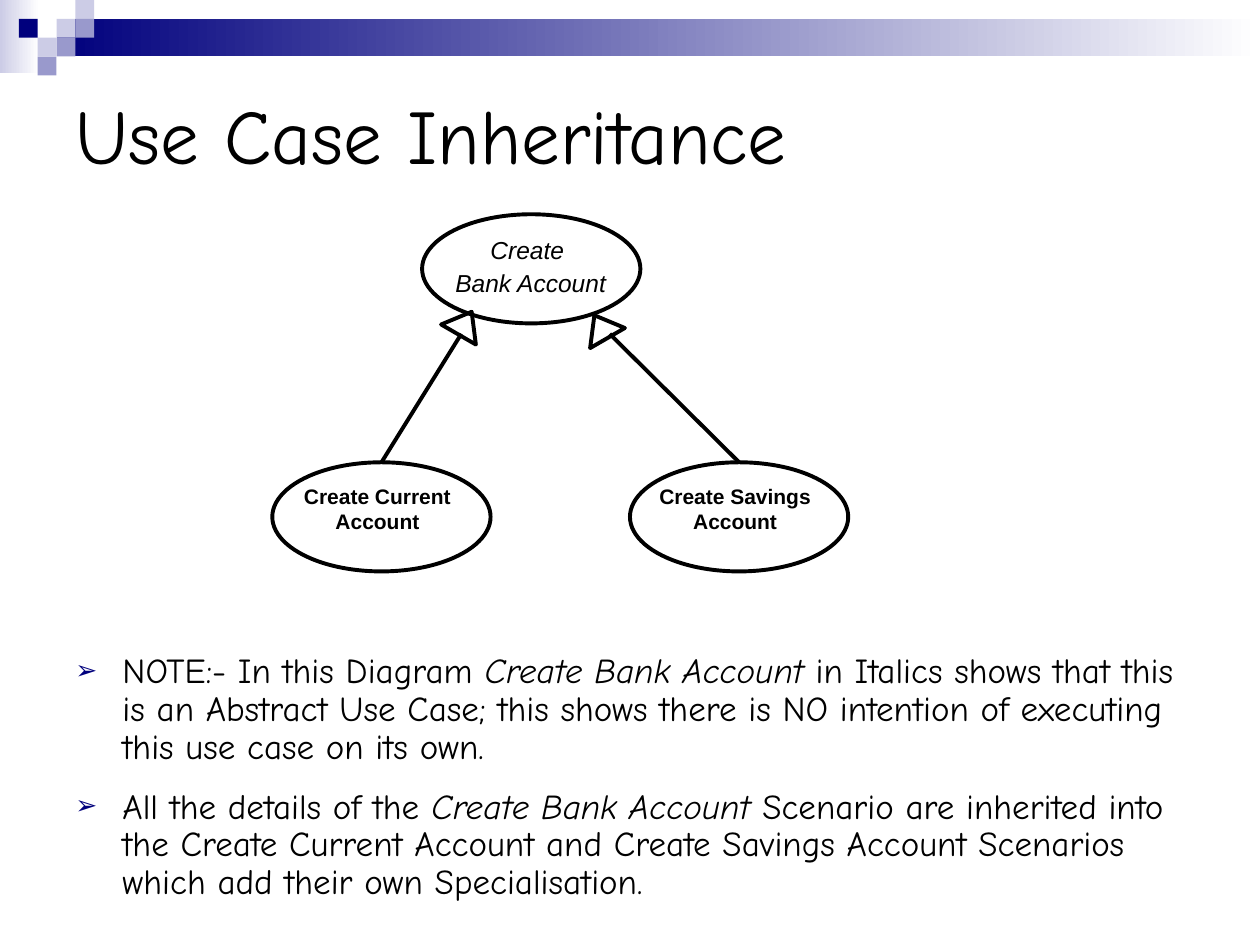
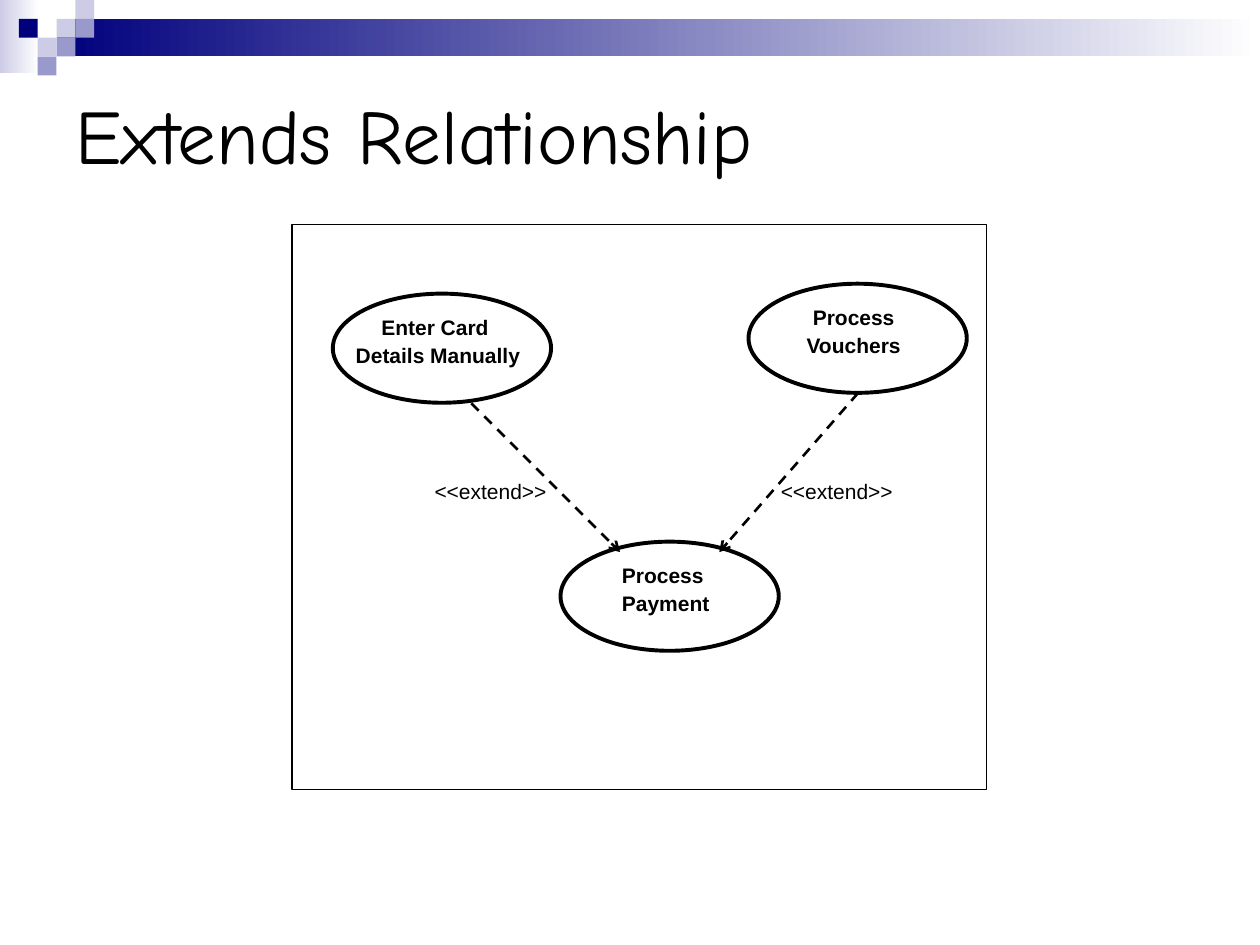
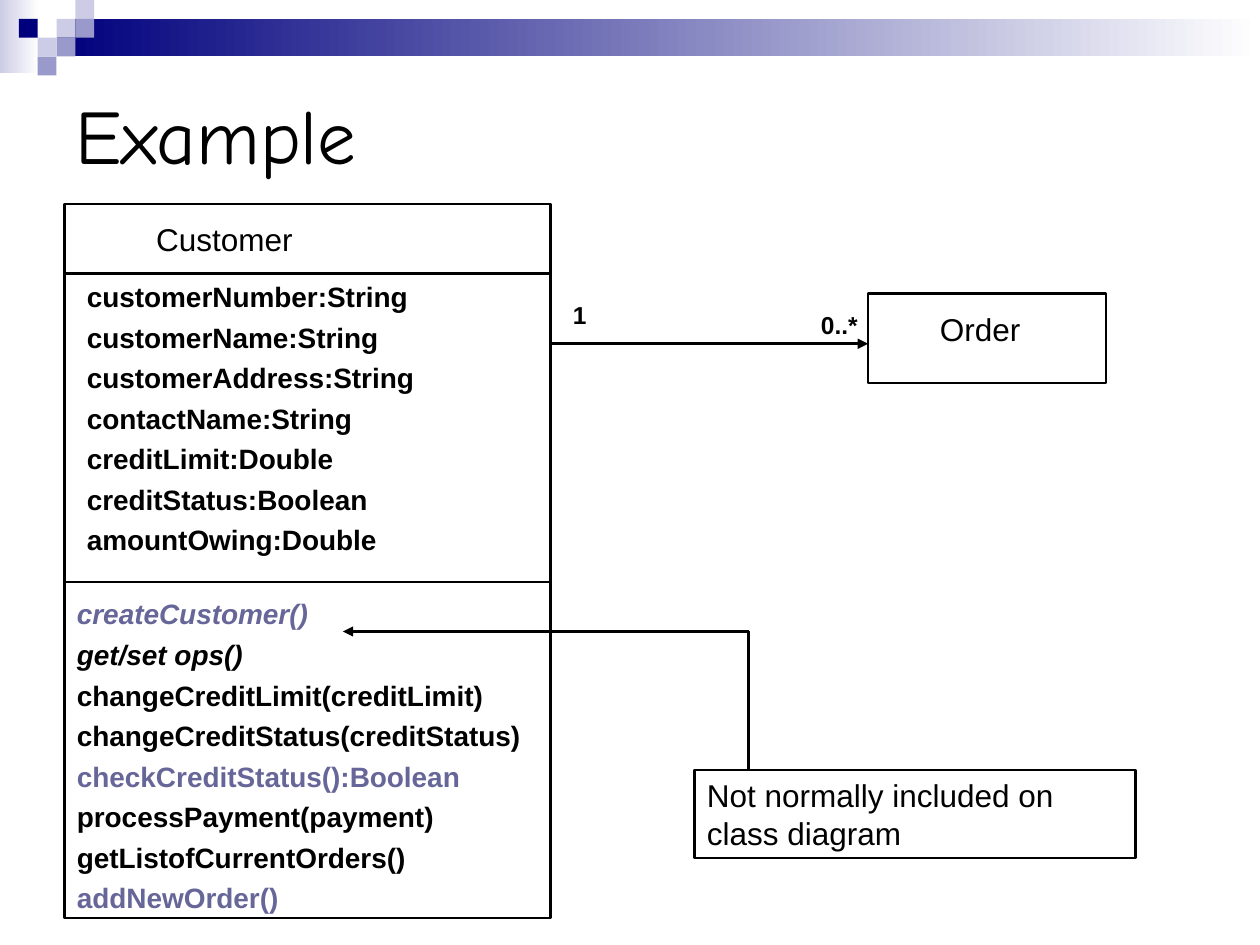
from typing import NamedTuple

from lxml import etree
from pptx import Presentation
from pptx.dml.color import RGBColor
from pptx.enum.dml import MSO_LINE
from pptx.enum.shapes import MSO_CONNECTOR, MSO_SHAPE
from pptx.enum.text import MSO_ANCHOR, PP_ALIGN
from pptx.oxml.ns import qn
from pptx.util import Cm, Pt

RECTANGLE = MSO_SHAPE.RECTANGLE
ELLIPSE = MSO_SHAPE.OVAL
TRIANGLE = MSO_SHAPE.ISOSCELES_TRIANGLE
STRAIGHT = MSO_CONNECTOR.STRAIGHT
DASH = MSO_LINE.DASH
MIDDLE = MSO_ANCHOR.MIDDLE
LEFT = PP_ALIGN.LEFT
CENTER = PP_ALIGN.CENTER
TOP_SITE = 0

COLORS = {
    "navy": "00007D",
    "lilac": "9999CC",
    "pale": "CCCCE6",
    "white": "FFFFFF",
    "black": "000000",
    "slate": "666699",
}
BODY_FONT = "Arial"
HAND_FONT = "Comic Neue"
ABSTRACT_NAME = "Create Bank Account "

# Header mosaic: column, row, colour
TILE = 0.38
TILES = [
    (3, 1, "pale"), (4, 0, "pale"), (4, 1, "lilac"), (2, 2, "pale"),
    (1, 1, "navy"), (3, 2, "lilac"), (2, 3, "lilac"),
]

NOTES = [
    "NOTE:- In this Diagram Create Bank Account in Italics shows that this is an "
    "Abstract Use Case; this shows there is NO intention of executing this use case "
    "on its own.",
    "All the details of the Create Bank Account Scenario are inherited into the "
    "Create Current Account and Create Savings Account Scenarios which add their own "
    "Specialisation.",
]
ATTRIBUTES = [
    "customerNumber:String", "customerName:String", "customerAddress:String",
    "contactName:String", "creditLimit:Double", "creditStatus:Boolean",
    "amountOwing:Double",
]
OPERATIONS = [
    "createCustomer()", "get/set ops()", "changeCreditLimit(creditLimit)",
    "changeCreditStatus(creditStatus)", "checkCreditStatus():Boolean",
    "processPayment(payment)", "getListofCurrentOrders()", "addNewOrder()",
]
SLATE_OPERATIONS = {"createCustomer()", "checkCreditStatus():Boolean", "addNewOrder()"}
ITALIC_OPERATIONS = {"createCustomer()", "get/set ops()"}


class Box(NamedTuple):
    """A region in centimetres."""
    left: float
    top: float
    width: float
    height: float

    def inside(self, left, top, width, height):
        return Box(self.left + left, self.top + top, width, height)

    def point(self, x, y):
        return self.left + x, self.top + y

    def lengths(self):
        return [Cm(value) for value in self]


def color(name):
    return RGBColor.from_string(COLORS[name])


# Basic parts

def add_filled(page, box, *names):
    """One colour gives a plain rectangle, two a left-to-right gradient."""
    shape = page.shapes.add_shape(RECTANGLE, *box.lengths())
    shape.shadow.inherit = False
    shape.line.fill.background()
    if len(names) == 1:
        shape.fill.solid()
        shape.fill.fore_color.rgb = color(names[0])
    else:
        shape.fill.gradient()
        shape.fill.gradient_angle = 0
        for stop, name in zip(shape.fill.gradient_stops, names):
            stop.color.rgb = color(name)


def add_outline(page, kind, box, weight, rotation=0):
    shape = page.shapes.add_shape(kind, *box.lengths())
    shape.shadow.inherit = False
    shape.fill.background()
    shape.line.color.rgb = color("black")
    shape.line.width = Pt(weight)
    shape.rotation = rotation
    return shape


def add_line(page, start, end, weight=1.5, dash=None, arrow=None):
    line = page.shapes.add_connector(STRAIGHT, *[Cm(value) for value in (*start, *end)])
    line.line.color.rgb = color("black")
    line.line.width = Pt(weight)
    if dash:
        line.line.dash_style = dash
    properties = line._element.spPr
    if arrow:
        etree.SubElement(properties.find(qn("a:ln")), qn("a:tailEnd"), type=arrow)
    etree.SubElement(properties, qn("a:effectLst"))
    return line


def style_run(span, size, font=BODY_FONT, bold=False, italic=False, tint="black"):
    span.font.size = Pt(size)
    span.font.name = font
    span.font.bold = bold
    span.font.italic = italic
    span.font.color.rgb = color(tint)


def write_lines(frame, lines, size, before=0, align=LEFT, **style):
    frame.word_wrap = True
    frame.text = "\n".join(lines)
    for para in frame.paragraphs:
        para.alignment = align
        para.space_before = Pt(before)
        for span in para.runs:
            style_run(span, size, **style)


def add_text(page, box, lines, size, **style):
    frame = page.shapes.add_textbox(*box.lengths()).text_frame
    write_lines(frame, lines, size, **style)
    return frame


# Shared page

def add_page(deck, title):
    page = deck.slides.add_slide(deck.slide_layouts[6])
    add_filled(page, Box(0, 0, 0.79, 1.47), "pale", "white")
    add_filled(page, Box(3 * TILE, TILE, 25.4 - 3 * TILE, 2 * TILE), "navy", "white")
    for column, row, name in TILES:
        add_filled(page, Box(column * TILE, row * TILE, TILE, TILE), name)
    frame = add_text(page, Box(1.27, 1.27, 22.86, 2.84), [title], 44, font=HAND_FONT)
    frame.vertical_anchor = MIDDLE
    return page


# Use case diagrams

def draw_use_case(page, box, lines, size=12, bold=True, italic=False):
    ellipse = add_outline(page, ELLIPSE, box, 2.25)
    add_text(page, box.inside(0, 0.3, 4.24, 1.3), lines, size,
             before=size / 8, align=CENTER, bold=bold, italic=italic)
    return ellipse


def draw_inheritance(page, box):
    draw_use_case(page, box.inside(3.02, 0, 4.4, 2.2), ["Create", " Bank Account"],
                  14, bold=False, italic=True)
    # Child name, ellipse left, arrowhead left, top and turn, line end
    children = [
        ("Create Current Account", 0, 3.48, 1.93, 30, 3.81),
        ("Create Savings Account", 7.21, 6.22, 2, 330, 6.8),
    ]
    for name, left, head_left, head_top, turn, end in children:
        child = draw_use_case(page, box.inside(left, 5, 4.4, 2.2), [name])
        add_outline(page, TRIANGLE, box.inside(head_left, head_top, 0.81, 0.53), 2.25, turn)
        line = add_line(page, box.point(left + 2.2, 5), box.point(end, 2.41), 2.25)
        line.begin_connect(child, TOP_SITE)


def draw_notes(page, box):
    frame = add_text(page, box, NOTES, 20, font=HAND_FONT)
    for para, text, before in zip(frame.paragraphs, NOTES, (5, 12.5)):
        # The abstract use case is set in italics
        para.text = ""
        for part in text.partition(ABSTRACT_NAME):
            span = para.add_run()
            span.text = part
            style_run(span, 20, HAND_FONT, italic=part == ABSTRACT_NAME)
        para.line_spacing = 0.9
        para.space_before = Pt(before)
        # Hanging arrow bullet
        properties = para._p.get_or_add_pPr()
        properties.set("marL", str(Cm(0.95)))
        properties.set("indent", str(-Cm(0.95)))
        tint = etree.SubElement(properties, qn("a:buClr"))
        etree.SubElement(tint, qn("a:srgbClr"), val=COLORS["navy"])
        etree.SubElement(properties, qn("a:buSzPct"), val="75000")
        etree.SubElement(properties, qn("a:buFont"), typeface=BODY_FONT)
        etree.SubElement(properties, qn("a:buChar"), char="➢")


def draw_extension(page, box):
    add_outline(page, RECTANGLE, box, 0.75)
    cases = [
        (["Process ", "Payment"], 5.41, 6.4),
        (["Process", "Vouchers"], 9.2, 1.2),
        (["Enter Card ", "Details Manually"], 0.82, 1.4),
    ]
    for lines, left, top in cases:
        draw_use_case(page, box.inside(left, top, 4.4, 2.2), lines)
    # Line start, line end, label left
    extensions = [((11.41, 3.4), (8.61, 6.61), 9.6), ((3.61, 3.61), (6.61, 6.61), 2.62)]
    for start, end, label_left in extensions:
        add_line(page, box.point(*start), box.point(*end), dash=DASH, arrow="arrow")
        add_text(page, box.inside(label_left, 5, 3.6, 0.76), ["<<extend>>"], 12)


# Class diagram

def draw_customer(page, box):
    add_outline(page, RECTANGLE, box, 1.5)
    for divider in (1.4, 7.62):
        add_line(page, box.point(0, divider), box.point(box.width, divider))
    add_text(page, box.inside(1.6, 0.2, 3.6, 1), ["Customer"], 18)
    add_text(page, box.inside(0.2, 1.4, 9.4, 5.84), ATTRIBUTES, 16, before=4, bold=True)
    frame = add_text(page, box.inside(0, 7.8, 9.8, 6.65), OPERATIONS, 16,
                     before=4, bold=True)
    for para in frame.paragraphs:
        span = para.runs[0]
        span.font.italic = para.text in ITALIC_OPERATIONS
        if para.text in SLATE_OPERATIONS:
            span.font.color.rgb = color("slate")


def draw_order(page, box):
    add_outline(page, RECTANGLE, box, 1.5)
    add_text(page, box.inside(1.2, 0.2, 3.6, 1), ["Order"], 18)


def draw_association(page, box):
    """The line runs along the lower edge, with a multiplicity at each end."""
    add_line(page, box.point(0, box.height), box.point(box.width, box.height),
             arrow="triangle")
    for label, left, top, width in [("1", 0.2, 0, 2.6), ("0..*", 5.2, 0.2, 1.4)]:
        add_text(page, box.inside(left, top, width, 0.86), [label], 14, bold=True)


def draw_remark(page, box):
    remark = add_outline(page, RECTANGLE, box, 1.5)
    remark.text_frame.vertical_anchor = MSO_ANCHOR.TOP
    write_lines(remark.text_frame, ["Not normally included on class diagram"], 18)
    # Bent pointer to the operation
    corner = box.point(1.09, -2.79)
    add_line(page, box.point(1.09, 0), corner)
    add_line(page, corner, box.point(-7.09, -2.79), arrow="triangle")


def main():
    deck = Presentation()
    deck.slide_width = Cm(25.4)
    deck.slide_height = Cm(19.05)

    page = add_page(deck, "Use Case Inheritance")
    draw_notes(page, Box(1.27, 13.05, 22.86, 5.45))
    draw_inheritance(page, Box(5.49, 4.32, 11.61, 7.2))

    page = add_page(deck, "Extends Relationship")
    draw_extension(page, Box(5.89, 4.52, 14, 11.4))

    page = add_page(deck, "Example")
    draw_customer(page, Box(1.3, 4.11, 9.8, 14.4))
    draw_remark(page, Box(14, 15.52, 8.89, 1.78))
    draw_association(page, Box(11.1, 5.92, 6.4, 1.01))
    draw_order(page, Box(17.5, 5.92, 4.8, 1.8))

    deck.save("out.pptx")


if __name__ == "__main__":
    main()
